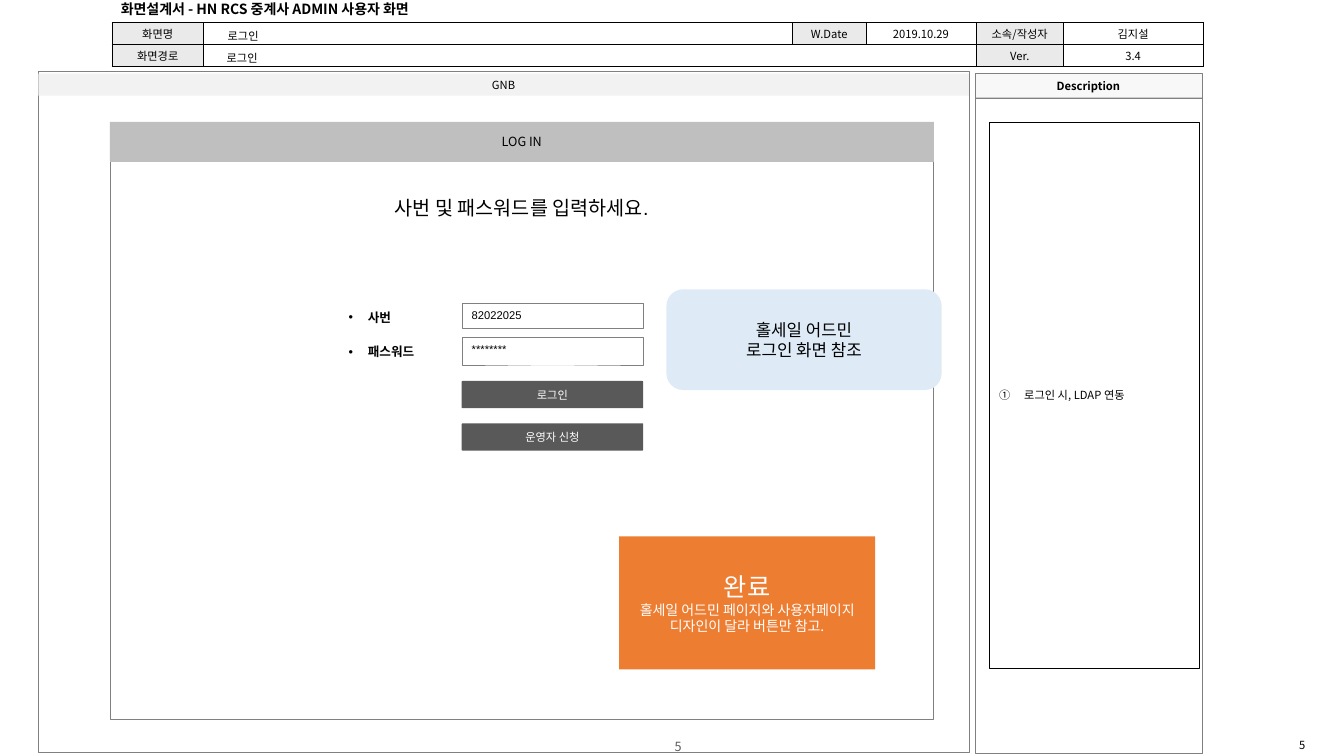
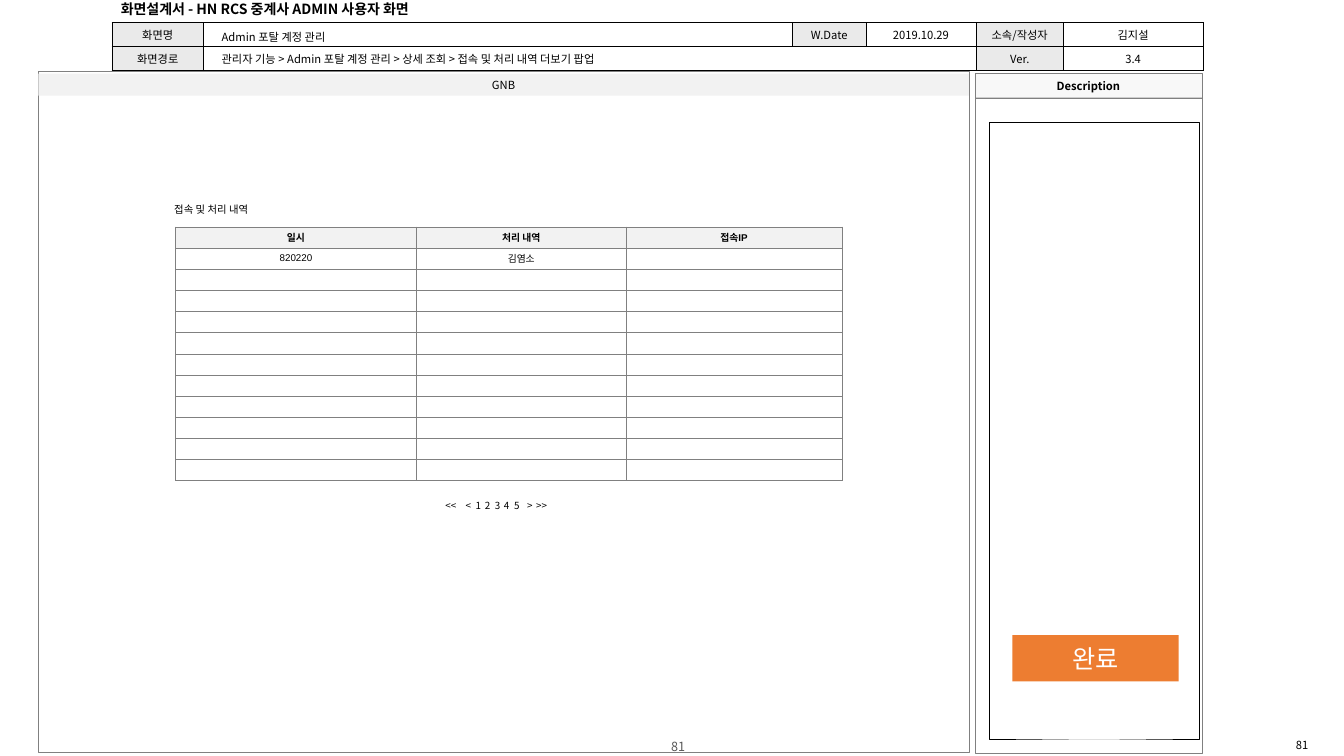
from lxml import etree
from pptx import Presentation
from pptx import util as u
from pptx.dml.color import RGBColor
from pptx.enum import shapes, text
from pptx.oxml import ns

BLACK = RGBColor(0x00, 0x00, 0x00)
WHITE = RGBColor(0xFF, 0xFF, 0xFF)
GRAY = RGBColor(0x80, 0x80, 0x80)
DARK = RGBColor(0x59, 0x59, 0x59)
SILVER = RGBColor(0xBF, 0xBF, 0xBF)
LABEL = RGBColor(0xEA, 0xEA, 0xEA)
PALE = RGBColor(0xF2, 0xF2, 0xF2)
LIGHT = RGBColor(0xF8, 0xF8, 0xF8)
SKY = RGBColor(0xDE, 0xEB, 0xF7)
ORANGE = RGBColor(0xED, 0x7D, 0x31)

NOTO = "Noto Sans CJK KR"
ARIAL = "Arial"
THIN = 0.25
RECT = shapes.MSO_SHAPE.RECTANGLE
ROUND = shapes.MSO_SHAPE.ROUNDED_RECTANGLE
LEFT, CENTER = text.PP_ALIGN.LEFT, text.PP_ALIGN.CENTER
TOP, MIDDLE = text.MSO_ANCHOR.TOP, text.MSO_ANCHOR.MIDDLE


def add(parent, tag, **attrs):
    """Append a DrawingML child element."""
    return etree.SubElement(parent, ns.qn(tag), attrs)


def write(frame, lines, size=8, font=NOTO, color=BLACK, bold=False, align=CENTER,
          anchor=MIDDLE, space=None, bullet=None, number=None, indent=0, tabs=()):
    """Fill a text frame; a line is a string or a (string, size) pair."""
    frame.word_wrap = True
    frame.vertical_anchor = anchor
    for i, line in enumerate([lines] if isinstance(lines, str) else lines):
        words, points = (line, size) if isinstance(line, str) else line
        para = frame.paragraphs[0] if i == 0 else frame.add_paragraph()
        props = para._p.get_or_add_pPr()
        if indent:
            props.set("marL", str(u.Inches(indent)))
            props.set("indent", str(-u.Inches(indent)))
        if bullet:
            add(props, "a:buFont", typeface=ARIAL)
            add(props, "a:buChar", char=bullet)
        if number:
            add(props, "a:buFont", typeface=NOTO)
            add(props, "a:buAutoNum", type=number)
        if tabs:
            stops = add(props, "a:tabLst")
            for stop in tabs:
                add(stops, "a:tab", pos=str(u.Inches(stop)), algn="l")
        para.alignment = align
        if space:
            para.line_spacing = space
        if not words:
            add(para._p, "a:endParaRPr", sz=str(int(points * 100)))
            continue
        run = para.add_run()
        run.text = words
        run.font.size = u.Pt(points)
        run.font.name = font
        run.font.bold = bold
        run.font.color.rgb = color
        add(run._r.get_or_add_rPr(), "a:ea", typeface=NOTO)


class Deck:
    def __init__(self):
        self.prs = Presentation()
        self.prs.slide_width = u.Inches(13.33)
        self.prs.slide_height = u.Inches(7.5)
        self.slide = None

    def text(self, at, lines, **style):
        box = self.slide.shapes.add_textbox(*map(u.Inches, at))
        write(box.text_frame, lines, **style)

    def shape(self, at, lines=None, kind=RECT, fill=None, line=None, adj=None, **style):
        item = self.slide.shapes.add_shape(kind, *map(u.Inches, at))
        item.shadow.inherit = False
        if adj is not None:
            item.adjustments[0] = adj
        if fill is None:
            item.fill.background()
        else:
            item.fill.solid()
            item.fill.fore_color.rgb = fill
        if line is None:
            item.line.fill.background()
        else:
            item.line.color.rgb = line
            item.line.width = u.Pt(THIN)
        if lines:
            write(item.text_frame, lines, **style)

    def grid(self, left, top, cols, rows):
        """Add an unstyled table with the given column widths and row heights."""
        size = map(u.Inches, (left, top, sum(cols), sum(rows)))
        table = self.slide.shapes.add_table(len(rows), len(cols), *size).table
        table.first_row = table.horz_banding = False
        for col, width in zip(table.columns, cols):
            col.width = u.Inches(width)
        for row, height in zip(table.rows, rows):
            row.height = u.Inches(height)
        return table

    def cell(self, cell, words, fill, edge, **style):
        cell.margin_left = cell.margin_right = u.Inches(0.06)
        cell.margin_top = cell.margin_bottom = u.Inches(0.02)
        cell.vertical_anchor = MIDDLE
        props = cell._tc.get_or_add_tcPr()
        for side in "LRTB":
            line = add(props, f"a:ln{side}", w=str(u.Pt(THIN)))
            add(add(line, "a:solidFill"), "a:srgbClr", val=str(edge))
        cell.fill.solid()
        cell.fill.fore_color.rgb = fill
        write(cell.text_frame, words, **style)

    def head(self, height):
        rows = [["화면명", "", "W.Date", "2019.10.29", "소속/작성자", "김지설"],
                ["화면경로", "", "", "", "Ver.", "3.4"]]
        table = self.grid(1.11, 0.22, [0.91, 5.84, 0.73, 1.09, 0.87, 1.38], [height] * 2)
        table.cell(1, 1).merge(table.cell(1, 3))
        for r, row in enumerate(rows):
            for c, words in enumerate(row):
                fill = LABEL if c % 2 == 0 and words else WHITE
                self.cell(table.cell(r, c), words, fill, BLACK)

    def page(self, number, height):
        """Start a slide with the shared header, panels and page numbers."""
        self.slide = self.prs.slides.add_slide(self.prs.slide_layouts[6])
        self.text((12.5, 7.31, 0.83, 0.16), number)
        self.text((5.17, 7.34, 3.11, 0.13), number, size=9, color=DARK)
        self.shape((0.38, 0.71, 9.23, 6.75), line=GRAY)
        self.head(height)
        self.text((1.1, -0.04, 4.2, 0.26), "화면설계서 - HN RCS 중계사 ADMIN 사용자 화면",
                  size=10, bold=True, align=LEFT)
        self.shape((9.67, 0.96, 2.25, 6.51), line=GRAY)
        self.shape((9.67, 0.73, 2.25, 0.24), "Description", fill=LIGHT, line=GRAY, bold=True)
        self.shape((0.38, 0.73, 9.23, 0.22), "GNB", fill=PALE)

    def note(self, left, top, width, words):
        self.text((left, top, width, 0.24), words, align=LEFT, anchor=TOP)


def login(deck):
    deck.page("5", 0.22)
    deck.shape((9.81, 1.21, 2.08, 5.42), "로그인 시, LDAP 연동", fill=WHITE, line=BLACK,
               align=LEFT, number="circleNumDbPlain", indent=0.25)
    deck.text((1.47, 1.87, 7.41, 0.36), "사번 및 패스워드를 입력하세요.", size=14,
              font=ARIAL, anchor=TOP, space=1.1)
    deck.shape((1.09, 1.21, 8.17, 5.93), line=GRAY)
    deck.shape((1.09, 1.21, 8.17, 0.39), "LOG IN", fill=SILVER, line=SILVER, size=9)
    fields = [("사번", "82022025", 3.01, 0.25), ("패스워드", "********", 3.35, 0.27)]
    for name, value, top, height in fields:
        deck.text((3.36, top - 0.06, 1, 0.33), name, size=9, font=ARIAL, bold=True,
                  align=LEFT, anchor=TOP, space=1.5, bullet="•", indent=0.19)
        deck.shape((4.58, top, 1.8, height), value, fill=WHITE, line=GRAY,
                   font=ARIAL, align=LEFT, anchor=TOP)
    for name, top in [("로그인", 3.78), ("운영자 신청", 4.2)]:
        deck.shape((4.58, top, 1.8, 0.27), name, kind=ROUND, adj=0.03, fill=DARK,
                   font=ARIAL, color=WHITE)
    deck.note(2.16, 0.24, 0.94, "로그인")
    deck.note(2.15, 0.46, 1.24, "로그인")
    deck.shape((6.61, 2.87, 2.73, 1), ["홀세일 어드민", "로그인 화면 참조"],
               kind=ROUND, fill=SKY, size=12)
    done = "홀세일 어드민 페이지와 사용자페이지 디자인이 달라 버튼만 참고."
    deck.shape((6.14, 5.32, 2.54, 1.32), [("완료", 18), (done, 10)], fill=ORANGE, color=WHITE)


def access(deck):
    deck.page("81", 0.24)
    deck.shape((9.81, 1.21, 2.08, 6.12), line=BLACK)
    deck.note(2.1, 0.47, 5, "관리자 기능 > Admin 포탈 계정 관리 > 상세 조회 > 접속 및 처리 내역 더보기 팝업")
    deck.note(2.1, 0.25, 1.66, "Admin 포탈 계정 관리")
    deck.text((1.63, 1.97, 1.04, 0.23), "접속 및 처리 내역", size=7.4, font=ARIAL,
              align=LEFT, anchor=TOP)
    rows = [["일시", "처리 내역", "접속IP"], ["820220", "김염소", ""]] + [[""] * 3] * 10
    table = deck.grid(1.74, 2.25, [2.39, 2.08, 2.14], [0.21] * len(rows))
    for r, row in enumerate(rows):
        for c, words in enumerate(row):
            deck.cell(table.cell(r, c), words, WHITE if r else PALE, GRAY,
                      size=7, font=ARIAL, bold=r == 0)
    deck.text((4.32, 4.89, 2.26, 0.25), "\t".join("<< < 1 2 3 4 5 > >>".split()), size=7,
              align=LEFT, tabs=[0.2, 0.3, 0.39, 0.49, 0.58, 0.68, 0.81, 0.9])
    deck.shape((10.04, 6.3, 1.65, 0.46), "완료", fill=ORANGE, size=18, color=WHITE)


def main():
    deck = Deck()
    login(deck)
    access(deck)
    deck.prs.save("out.pptx")


if __name__ == "__main__":
    main()
